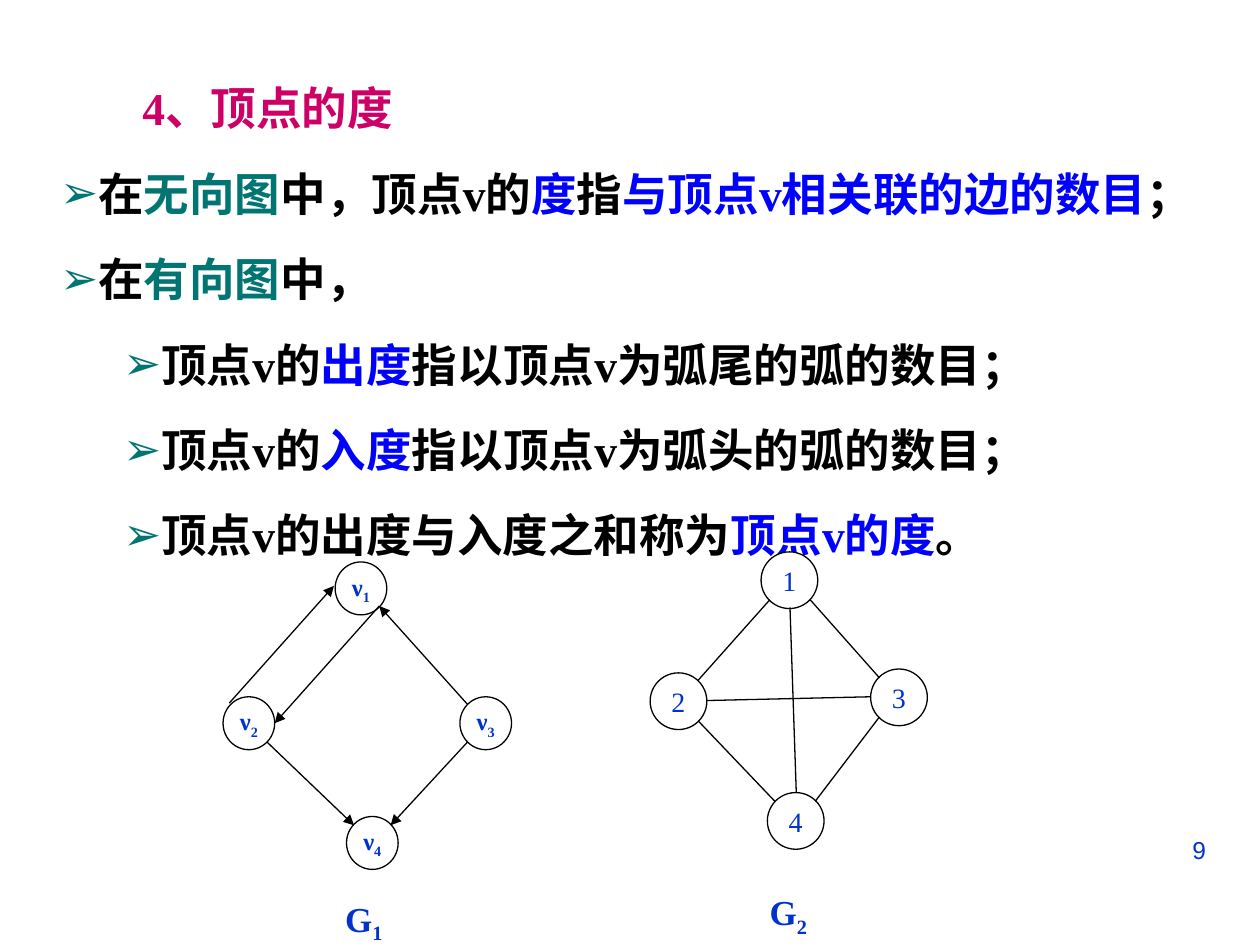
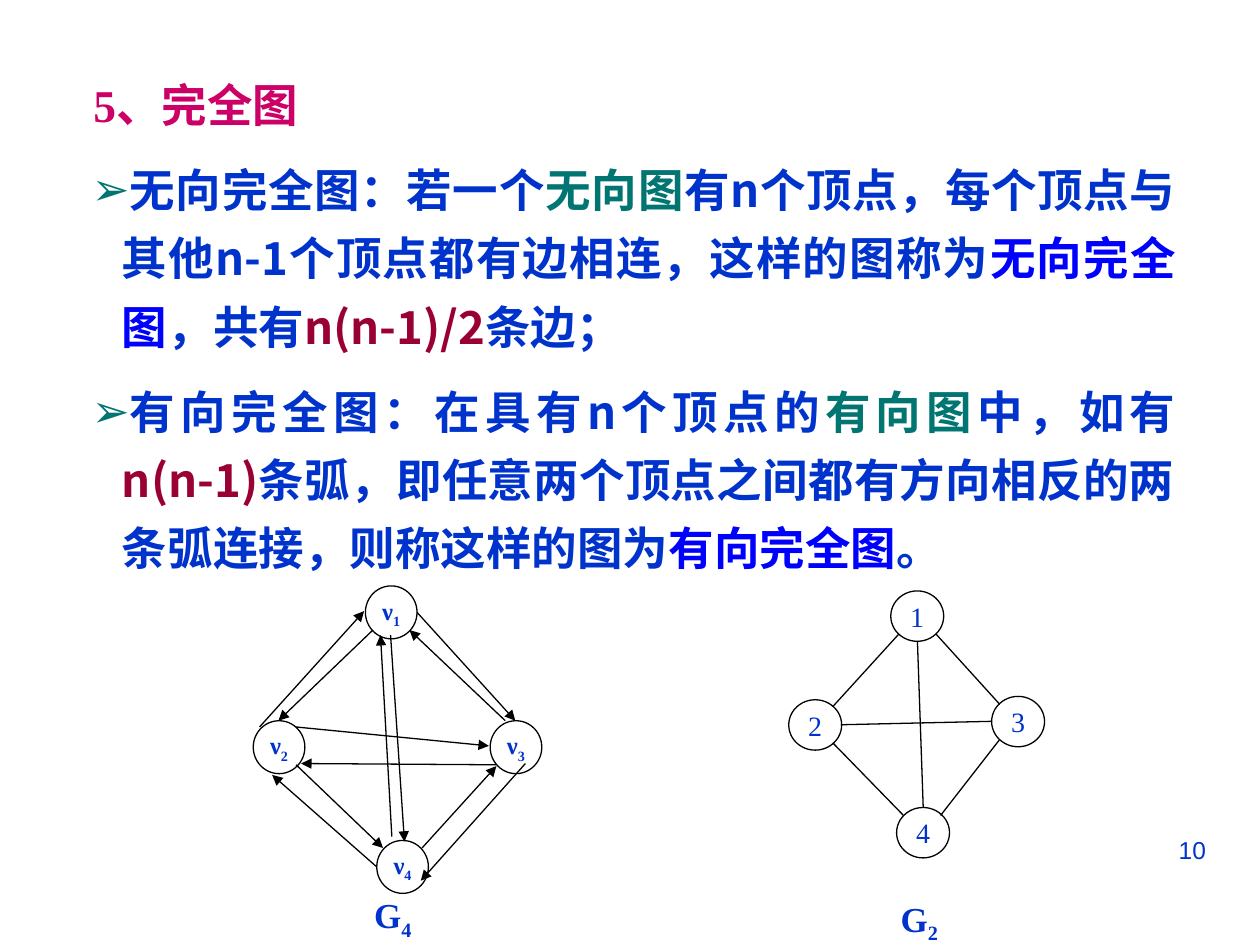
from lxml import etree
from pptx import Presentation
from pptx.dml.color import RGBColor
from pptx.enum import shapes, text
from pptx.oxml import ns
from pptx.util import Inches, Pt

BLUE = RGBColor(0x00, 0x33, 0xCC)
BRIGHT_BLUE = RGBColor(0x00, 0x00, 0xFF)
TEAL = RGBColor(0x00, 0x75, 0x72)
MAGENTA = RGBColor(0xCC, 0x00, 0x66)
DARK_RED = RGBColor(0x99, 0x00, 0x33)
BLACK = RGBColor(0x00, 0x00, 0x00)
WHITE = RGBColor(0xFF, 0xFF, 0xFF)
SERIF = "Times New Roman"
SANS = "Arial"
CJK = "Noto Sans CJK SC"
LINE_SPACING = 1.25
PARAGRAPH_GAP = Pt(9.8)
HEADING_PITCH = 0.68

DIRECTED_NODES = [(0.89, 0), (0, 1.07), (1.88, 1.07), (0.98, 2.02)]
G1_ARCS = [
    ((0.05, 1.12), (0.88, 0.19)),
    ((1.24, 0.35), (0.41, 1.28)),
    ((0.35, 1.43), (1.04, 2.09)),
    ((1.94, 1.43), (1.33, 2.09)),
    ((1.94, 1.13), (1.24, 0.35)),
]
G4_ARCS = [
    ((0.05, 1.12), (0.88, 0.2)),
    ((0.95, 0.35), (0.2, 1.07)),
    ((2.16, 1.41), (1.33, 2.34)),
    ((1.34, 2.08), (1.93, 1.43)),
    ((2.0, 1.07), (1.24, 0.35)),
    ((1.3, 0.21), (2.08, 1.07)),
    ((0.34, 1.42), (1.03, 2.08)),
    ((1.1, 1.99), (1.01, 0.39)),
    ((1.09, 0.39), (1.2, 2.03)),
    ((0.34, 1.12), (1.87, 1.27)),
    ((1.93, 1.42), (0.38, 1.41)),
    ((0.98, 2.23), (0.15, 1.5)),
]
G2_NODES = [(0.88, 0), (0, 0.96), (1.75, 0.93), (0.93, 1.91)]
G2_EDGES = [
    ((0.95, 0.38), (0.38, 1.02)),
    ((1.27, 0.38), (1.82, 1.0)),
    ((1.82, 1.31), (1.31, 1.98)),
    ((0.38, 1.34), (0.99, 1.98)),
    ((0.45, 1.18), (1.75, 1.15)),
    ((1.11, 0.44), (1.16, 1.91)),
]

DEGREE_POINTS = [
    (1, [("在", BLACK), ("无向图", TEAL), ("中，顶点v的", BLACK), ("度", BRIGHT_BLUE),
         ("指", BLACK), ("与顶点v相关联的边的数目", BRIGHT_BLUE), ("；", BLACK)]),
    (1, [("在", BLACK), ("有向图", TEAL), ("中，", BLACK)]),
    (2, [("顶点v的", BLACK), ("出度", BRIGHT_BLUE), ("指以顶点v为弧尾的弧的数目；", BLACK)]),
    (2, [("顶点v的", BLACK), ("入度", BRIGHT_BLUE), ("指以顶点v为弧头的弧的数目；", BLACK)]),
    (2, [("顶点v的出度与入度之和称为", BLACK), ("顶点v的度", BRIGHT_BLUE), ("。", BLACK)]),
]
COMPLETE_POINTS = [
    (1, [("无向完全图：若一个", BLUE), ("无向图", TEAL),
         ("有n个顶点，每个顶点与其他n-1个顶点都有边相连，这样的图称为", BLUE),
         ("无向完全图", BRIGHT_BLUE), ("，共有", BLUE), ("n(n-1)/2", DARK_RED), ("条边；", BLUE)]),
    (1, [("有向完全图：在具有n个顶点的", BLUE), ("有向图", TEAL), ("中，如有", BLUE),
         ("n(n-1)", DARK_RED),
         ("条弧，即任意两个顶点之间都有方向相反的两条弧连接，则称这样的图为", BLUE),
         ("有向完全图", BRIGHT_BLUE), ("。", BLUE)]),
]


def write(paragraph, words, size=26, color=BLUE, bold=True, latin=SERIF, subscript=False):
    run = paragraph.add_run()
    run.text = words
    run.font.size = Pt(size)
    run.font.bold = bold
    run.font.color.rgb = color
    run.font.name = latin
    properties = run.font._element
    etree.SubElement(properties, ns.qn("a:ea")).set("typeface", CJK)
    if subscript:
        properties.set("baseline", "-25000")


def write_indexed(paragraph, letter, index, size):
    write(paragraph, letter, size=size)
    write(paragraph, index, size=size, subscript=True)


def prepare_frame(frame, margin_x=0.1, margin_y=0.05, anchor=text.MSO_ANCHOR.TOP):
    frame.word_wrap = True
    frame.auto_size = text.MSO_AUTO_SIZE.NONE
    frame.vertical_anchor = anchor
    frame.margin_left = frame.margin_right = Inches(margin_x)
    frame.margin_top = frame.margin_bottom = Inches(margin_y)
    return frame


def add_frame(slide, left, top, width, height):
    box = slide.shapes.add_textbox(Inches(left), Inches(top), Inches(width), Inches(height))
    return prepare_frame(box.text_frame)


def add_bullet(paragraph, level):
    properties = paragraph._p.get_or_add_pPr()
    properties.set("marL", str(Inches(0.5 * level)))
    properties.set("indent", str(-Inches(0.24)))
    color = etree.SubElement(properties, ns.qn("a:buClr"))
    etree.SubElement(color, ns.qn("a:srgbClr")).set("val", str(TEAL))
    etree.SubElement(properties, ns.qn("a:buFont")).set("typeface", SANS)
    etree.SubElement(properties, ns.qn("a:buChar")).set("char", "➢")


def place_heading(slide, left, top, words):
    heading = slide.shapes.title
    heading.left, heading.top = Inches(left), Inches(top)
    heading.width, heading.height = Inches(5), Inches(HEADING_PITCH)
    paragraph = prepare_frame(heading.text_frame).paragraphs[0]
    paragraph.alignment = text.PP_ALIGN.LEFT
    paragraph.line_spacing = LINE_SPACING
    paragraph.space_before = Pt(0)
    write(paragraph, words, color=MAGENTA)


def add_points(slide, left, top, width, height, points, latin):
    frame = add_frame(slide, left, top, width, height)
    for number, (level, pieces) in enumerate(points):
        paragraph = frame.add_paragraph() if number else frame.paragraphs[0]
        add_bullet(paragraph, level)
        paragraph.alignment = text.PP_ALIGN.JUSTIFY
        paragraph.line_spacing = LINE_SPACING
        paragraph.space_before = PARAGRAPH_GAP if number else Pt(0)
        for words, color in pieces:
            write(paragraph, words, color=color, latin=latin)


def add_node(slide, left, top, width, height):
    node = slide.shapes.add_shape(
        shapes.MSO_SHAPE.OVAL, Inches(left), Inches(top), Inches(width), Inches(height))
    node.shadow.inherit = False
    node.fill.solid()
    node.fill.fore_color.rgb = WHITE
    node.line.color.rgb = BLACK
    node.line.width = Pt(0.75)
    frame = prepare_frame(node.text_frame, 0, 0, text.MSO_ANCHOR.MIDDLE)
    frame.paragraphs[0].alignment = text.PP_ALIGN.CENTER
    return frame.paragraphs[0]


def add_edge(slide, start, end, arrow):
    edge = slide.shapes.add_connector(
        shapes.MSO_CONNECTOR.STRAIGHT, *(Inches(value) for value in (*start, *end)))
    edge.line.color.rgb = BLACK
    edge.line.width = Pt(0.75)
    if arrow:
        etree.SubElement(edge.line._get_or_add_ln(), ns.qn("a:tailEnd")).set("type", "triangle")
    etree.SubElement(edge._element.spPr, ns.qn("a:effectLst"))


def add_graph(slide, left, top, nodes, edges, node_size, caption, caption_at,
              directed=False, scale=(1, 1)):
    def place(point):
        return left + point[0] * scale[0], top + point[1] * scale[1]

    for index, node in enumerate(nodes, start=1):
        label = add_node(slide, *place(node), *node_size)
        if directed:
            write_indexed(label, "ν", str(index), size=14)
        else:
            write(label, str(index), size=16, bold=False)
    for start, end in edges:
        add_edge(slide, place(start), place(end), arrow=directed)
    frame = add_frame(slide, left + caption_at[0], top + caption_at[1], 0.75, 0.48)
    write_indexed(frame.paragraphs[0], *caption, size=20)


def add_page_number(slide, number):
    paragraph = add_frame(slide, 7.17, 6.58, 2.5, 0.52).paragraphs[0]
    paragraph.alignment = text.PP_ALIGN.RIGHT
    write(paragraph, str(number), size=14, bold=False, latin=SANS)


def start_slide(deck, number, heading, heading_left, top):
    slide = deck.slides.add_slide(deck.slide_layouts[5])
    place_heading(slide, heading_left, top, heading)
    add_page_number(slide, number)
    return slide


def build_degree_slide(deck):
    top = 0.48
    slide = start_slide(deck, 9, "4、顶点的度", 1.03, top)
    add_points(slide, 0.12, top + HEADING_PITCH, 9.8, 3.5, DEGREE_POINTS, SERIF)
    add_graph(slide, 1.77, 4.46, DIRECTED_NODES, G1_ARCS, (0.41, 0.42), "G1", (0.87, 2.61),
              directed=True)
    add_graph(slide, 5.16, 4.38, G2_NODES, G2_EDGES, (0.45, 0.45), "G2", (0.85, 2.64))


def build_complete_slide(deck):
    top = 0.45
    slide = start_slide(deck, 10, "5、完全图", 0.64, top)
    add_points(slide, 0.37, top + HEADING_PITCH, 9.06, 3.48, COMPLETE_POINTS, CJK)
    add_graph(slide, 6.26, 4.69, G2_NODES, G2_EDGES, (0.42, 0.4), "G2", (0.79, 2.38),
              scale=(0.92, 0.9))
    add_graph(slide, 2.01, 4.65, DIRECTED_NODES, G4_ARCS, (0.41, 0.42), "G4", (0.86, 2.39),
              directed=True)


def main():
    deck = Presentation()
    deck.slide_width, deck.slide_height = Inches(10), Inches(7.5)
    build_degree_slide(deck)
    build_complete_slide(deck)
    deck.save("out.pptx")


if __name__ == "__main__":
    main()
